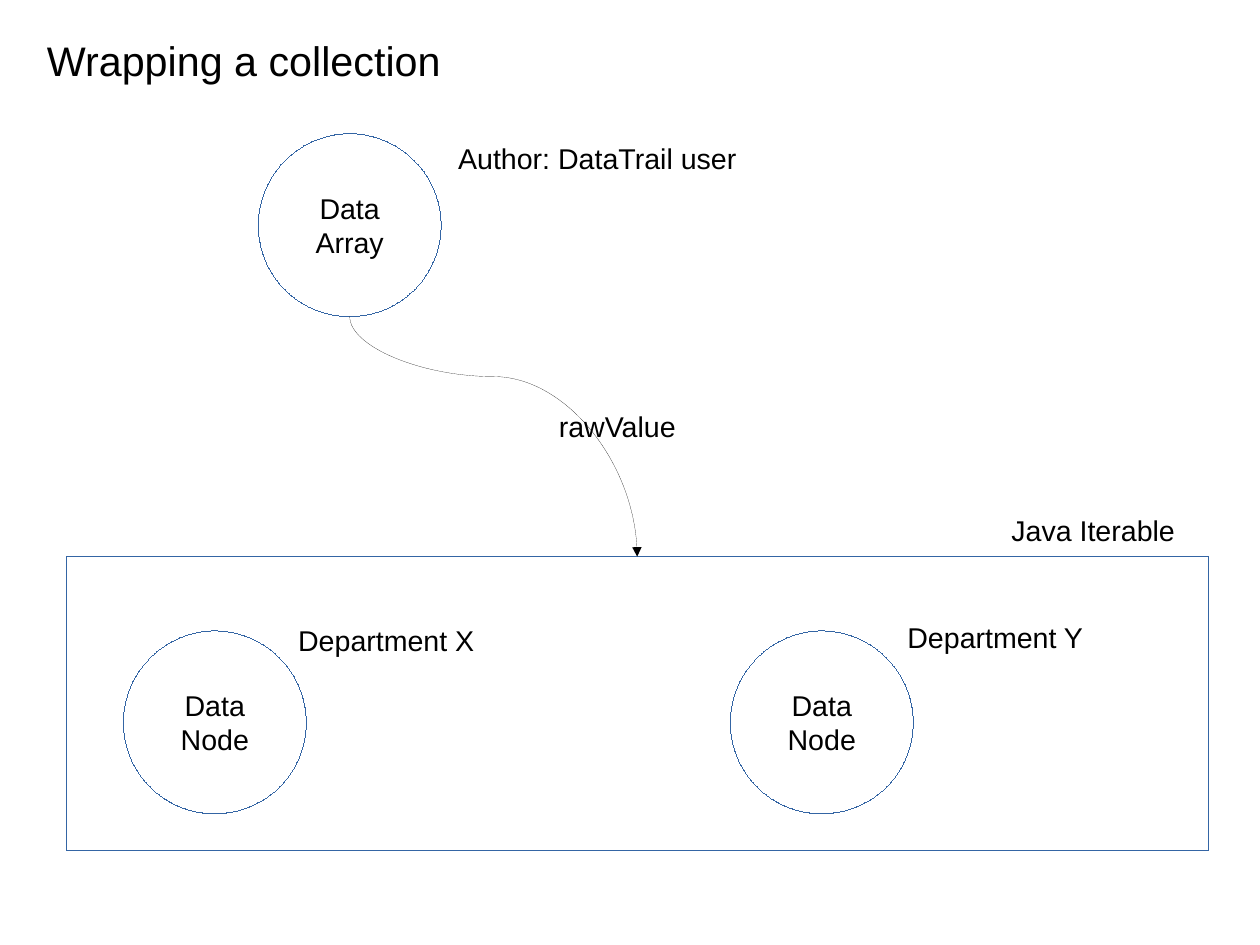
from lxml import etree
from pptx import Presentation
from pptx.dml.color import RGBColor
from pptx.enum.shapes import MSO_CONNECTOR, MSO_SHAPE
from pptx.enum.text import MSO_ANCHOR, MSO_AUTO_SIZE, PP_ALIGN
from pptx.oxml.ns import qn
from pptx.util import Cm, Inches, Pt

LEFT, CENTER = PP_ALIGN.LEFT, PP_ALIGN.CENTER
TOP, MIDDLE = MSO_ANCHOR.TOP, MSO_ANCHOR.MIDDLE
FIT_TEXT, FIXED = MSO_AUTO_SIZE.SHAPE_TO_FIT_TEXT, MSO_AUTO_SIZE.NONE
CURVE = MSO_CONNECTOR.CURVE
BLACK, WHITE, BLUE = "000000", "FFFFFF", "3465A4"

DIAMETER = 1.6
NODE_TOP = 5.52
LABEL_HEIGHT = 0.38
ITERABLE = (0.58, 4.87, 9.99, 2.57)
ARRAY_LEFT, ARRAY_TOP = 2.26, 1.17

prs = Presentation()
prs.slide_width, prs.slide_height = Cm(28), Cm(21)
slide = prs.slides.add_slide(prs.slide_layouts[5])
shapes = slide.shapes


def hairline(shape, hex_code):
    """Give the thinnest line; width 0 must be written out to override the theme."""
    shape.line.color.rgb = RGBColor.from_string(hex_code)
    stroke = shape._element.spPr.find(qn("a:ln"))
    stroke.set("w", "0")
    return stroke


def write(shape, text, size=18, align=LEFT, anchor=TOP, wrap=False, fit=FIT_TEXT):
    frame = shape.text_frame
    frame.text = text
    frame.word_wrap, frame.auto_size, frame.vertical_anchor = wrap, fit, anchor
    frame.margin_left = frame.margin_right = Inches(0.1)
    frame.margin_top = frame.margin_bottom = Inches(0.05)
    for paragraph in frame.paragraphs:
        paragraph.alignment = align
        font = paragraph.runs[0].font
        font.name, font.size = "Arial", Pt(size)
        font.color.rgb = RGBColor.from_string(BLACK)


# Title
title = shapes.title
title.left, title.top = Inches(0.31), Inches(0.26)
title.width, title.height = Inches(3.7), Inches(0.5)
write(title, "Wrapping a collection", size=26)

# Iterable frame, then the data circles
outlines = [
    (MSO_SHAPE.RECTANGLE, ITERABLE, ""),
    (MSO_SHAPE.OVAL, (ARRAY_LEFT, ARRAY_TOP, DIAMETER, DIAMETER), "Data\nArray"),
]
for node_left in (1.08, 6.39):
    outlines.append((MSO_SHAPE.OVAL, (node_left, NODE_TOP, DIAMETER, DIAMETER), "Data\nNode"))
for kind, box, caption in outlines:
    outline = shapes.add_shape(kind, *map(Inches, box))
    outline.shadow.inherit = False
    outline.fill.solid()
    outline.fill.fore_color.rgb = RGBColor.from_string(WHITE)
    hairline(outline, BLUE)
    if caption:
        write(outline, caption, align=CENTER, anchor=MIDDLE, wrap=True, fit=FIXED)

# Curved arrow from the array's bottom to the frame's top centre.
# It is laid out on its side, then turned a quarter so both ends are vertical.
start_x, start_y = ARRAY_LEFT + DIAMETER / 2, ARRAY_TOP + DIAMETER
end_x, end_y = ITERABLE[0] + ITERABLE[2] / 2, ITERABLE[1]
center_x, center_y = (start_x + end_x) / 2, (start_y + end_y) / 2
half_run, half_drop = (end_x - start_x) / 2, (end_y - start_y) / 2
raw_value = shapes.add_connector(
    CURVE,
    Inches(center_x + half_drop), Inches(center_y - half_run),
    Inches(center_x - half_drop), Inches(center_y + half_run),
)
etree.SubElement(hairline(raw_value, BLACK), qn("a:tailEnd"), type="triangle")
properties = raw_value._element.spPr
properties.find(qn("a:xfrm")).set("rot", str(270 * 60000))
bend = properties.find(qn("a:prstGeom")).get_or_add_avLst()
etree.SubElement(bend, qn("a:gd"), name="adj1", fmla="val 25000")
etree.SubElement(properties, qn("a:effectLst"))

# Labels
for left, top, width, label in [
    (4.79, 3.53, 1.25, "rawValue"),
    (3.91, 1.18, 2.77, "Author: DataTrail user"),
    (2.51, 5.4, 1.75, "Department X"),
    (8.75, 4.44, 1.65, "Java Iterable"),
    (7.84, 5.37, 1.75, "Department Y"),
]:
    write(shapes.add_textbox(*map(Inches, (left, top, width, LABEL_HEIGHT))), label)

prs.save("out.pptx")
